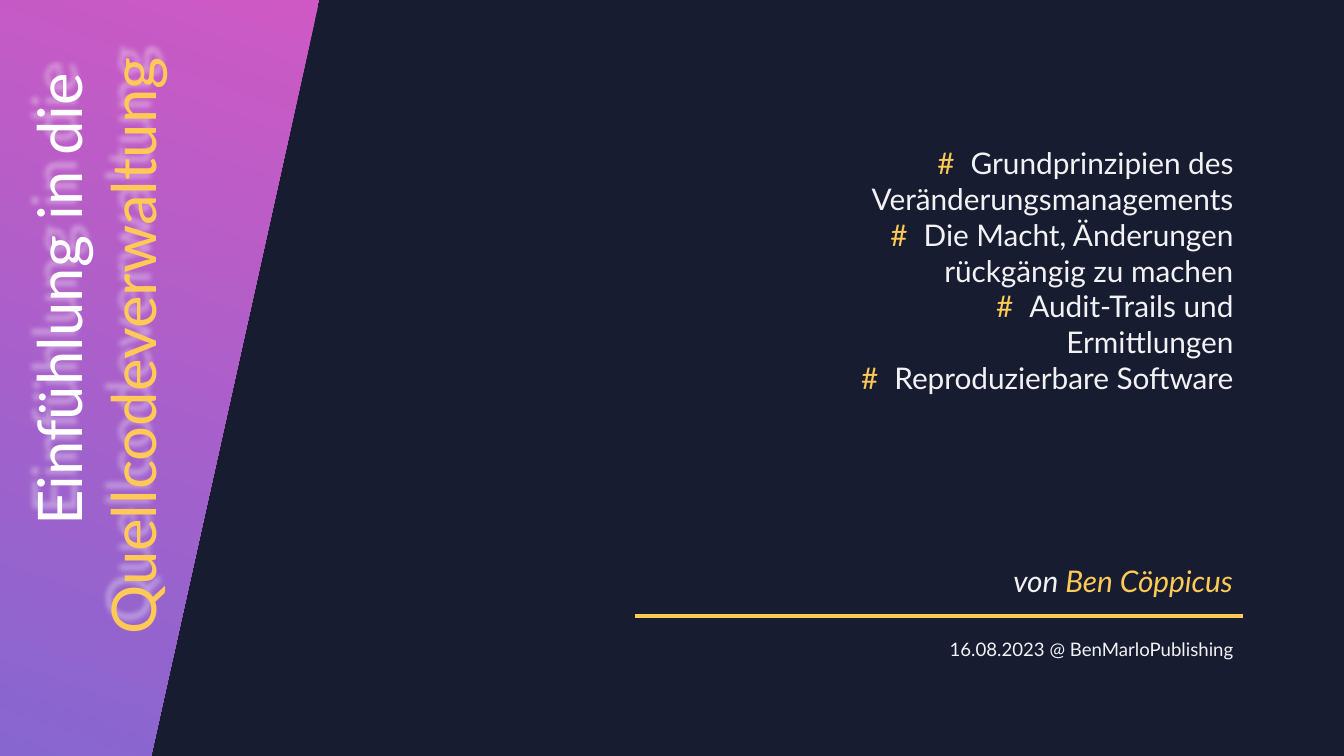
from lxml import etree
from pptx import Presentation
from pptx.dml.color import RGBColor
from pptx.enum.shapes import MSO_CONNECTOR
from pptx.enum.text import MSO_ANCHOR, MSO_AUTO_SIZE, PP_ALIGN
from pptx.oxml.ns import qn
from pptx.util import Cm, Pt

STRAIGHT = MSO_CONNECTOR.STRAIGHT
TOP = MSO_ANCHOR.TOP
FIT_SHAPE = MSO_AUTO_SIZE.SHAPE_TO_FIT_TEXT
RIGHT = PP_ALIGN.RIGHT

NAVY, PINK, PURPLE = "171C30", "CE59C4", "8766D0"
YELLOW, WHITE, PALE = "FFC955", "FFFFFF", "F2F2F5"
WIDTH, HEIGHT = 33.87, 19.05


def color(hex_string):
    return RGBColor.from_string(hex_string)


def add_element(parent, tag, **attributes):
    element = etree.SubElement(parent, qn(tag))
    for name, value in attributes.items():
        element.set(name, str(value))
    return element


class SlideBuilder:
    font = "Lato"

    def __init__(self, presentation):
        self.slide = presentation.slides.add_slide(presentation.slide_layouts[1])
        fill = self.slide.background.fill
        fill.solid()
        fill.fore_color.rgb = color(NAVY)

    def panel(self, points):
        corners = [(Cm(x), Cm(y)) for x, y in points]
        builder = self.slide.shapes.build_freeform(*corners[0], scale=1.0)
        builder.add_line_segments(corners[1:], close=True)
        shape = builder.convert_to_shape()
        shape.shadow.inherit = False
        shape.line.fill.background()
        shape.fill.gradient()
        shape.fill.gradient_angle = 250
        for stop, shade in zip(shape.fill.gradient_stops, (PINK, PURPLE)):
            stop.color.rgb = color(shade)
        tree = self.slide.shapes.element
        tree.remove(shape.element)
        tree.insert(2, shape.element)

    def fill_text(self, shape, box, paragraphs, size, italic=False):
        shape.left, shape.top, shape.width, shape.height = map(Cm, box)
        frame = shape.text_frame
        frame.word_wrap = True
        frame.auto_size = FIT_SHAPE
        frame.vertical_anchor = TOP
        for index, runs in enumerate(paragraphs):
            paragraph = frame.add_paragraph() if index else frame.paragraphs[0]
            paragraph.alignment = RIGHT
            paragraph.line_spacing = 1.0
            paragraph.space_before = paragraph.space_after = Pt(0)
            for text, shade in runs:
                run = paragraph.add_run()
                run.text = text
                run.font.name = self.font
                run.font.size = Pt(size)
                run.font.italic = italic
                run.font.color.rgb = color(shade)

    def title(self, box, paragraphs, size):
        shape = self.slide.shapes.title
        self.fill_text(shape, box, paragraphs, size)
        shape.rotation = 270
        effects = add_element(shape.element.spPr, "a:effectLst")
        shadow = add_element(effects, "a:outerShdw", blurRad=Pt(4), dist=Pt(10),
                             dir=245 * 60000, algn="ctr", rotWithShape=0)
        glow = add_element(shadow, "a:srgbClr", val=WHITE)
        add_element(glow, "a:alpha", val=40000)

    def bullets(self, box, items, size):
        shape = self.slide.placeholders[1]
        self.fill_text(shape, box, [[(item, PALE)] for item in items], size)
        for paragraph in shape.text_frame.paragraphs:
            properties = paragraph._p.get_or_add_pPr()
            properties.set("marL", str(Cm(0.84)))
            properties.set("indent", str(-Cm(0.84)))
            bullet_color = add_element(properties, "a:buClr")
            add_element(bullet_color, "a:srgbClr", val=YELLOW)
            add_element(properties, "a:buFont", typeface=self.font)
            add_element(properties, "a:buChar", char="#")

    def text(self, box, runs, size, italic=False):
        shape = self.slide.shapes.add_textbox(*map(Cm, box))
        self.fill_text(shape, box, [runs], size, italic)

    def rule(self, left, right, top):
        line = self.slide.shapes.add_connector(
            STRAIGHT, Cm(left), Cm(top), Cm(right), Cm(top))
        line.line.color.rgb = color(YELLOW)
        line.line.width = Pt(3)
        add_element(line.element.spPr, "a:effectLst")


def main():
    presentation = Presentation()
    presentation.slide_width = Cm(WIDTH)
    presentation.slide_height = Cm(HEIGHT)
    builder = SlideBuilder(presentation)
    builder.panel([(0, 0), (8.05, 0), (3.81, HEIGHT), (0, HEIGHT)])
    builder.title((-5.92, 7.52, 16.66, 4.01),
                  [[("Einfühlung in die ", WHITE)],
                   [("Quellcodeverwaltung", YELLOW)]], 44)
    builder.bullets((20.75, 3.53, 10.59, 6.63),
                    ["Grundprinzipien des Veränderungsmanagements",
                     "Die Macht, Änderungen rückgängig zu machen",
                     "Audit-Trails und Ermittlungen",
                     "Reproduzierbare Software"], 21.3)
    builder.rule(16, 31.32, 15.52)
    builder.text((20.04, 14.05, 11.28, 1.17),
                 [("von ", PALE), ("Ben Cöppicus", YELLOW)], 21.3, italic=True)
    builder.text((18.49, 15.95, 12.85, 0.84),
                 [("16.08.2023 @ BenMarloPublishing", PALE)], 13.3)
    presentation.save("out.pptx")


if __name__ == "__main__":
    main()
